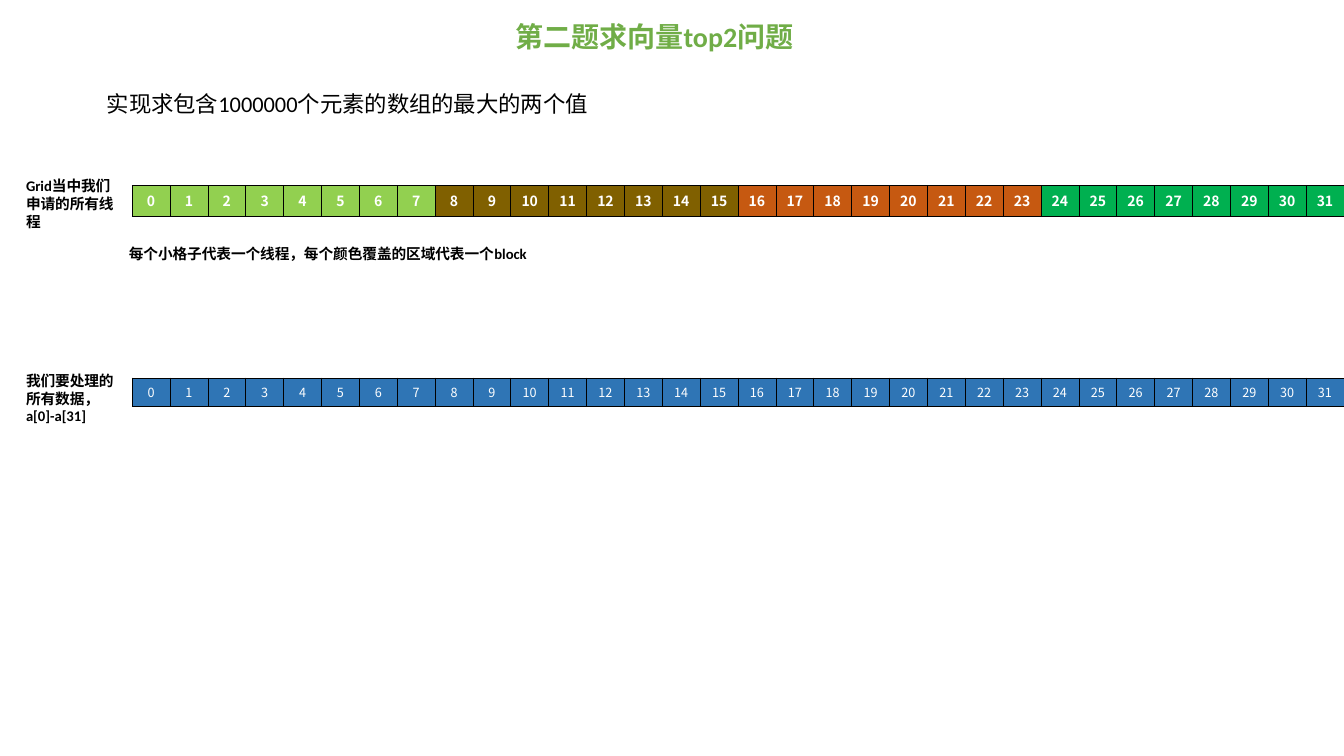
from dataclasses import dataclass

from pptx import Presentation
from pptx.dml.color import RGBColor as RGB
from pptx.enum.text import MSO_ANCHOR as Anchor, MSO_AUTO_SIZE as AutoSize, PP_ALIGN as Align
from pptx.oxml.ns import qn
from pptx.oxml.xmlchemy import OxmlElement as Element
from pptx.util import Inches, Pt


@dataclass(frozen=True)
class Theme:
    font: str = "Calibri"
    cjk: str = "Noto Sans CJK SC"
    ink: str = "000000"
    light: str = "FFFFFF"
    title: str = "70AD47"
    blocks: tuple = ("92D050", "806000", "C65911", "00B050")
    data: str = "2F75B5"
    title_size: float = 20
    intro_size: float = 16
    note_size: float = 10.5
    thread_size: float = 10
    data_size: float = 9
    border: float = 0.5
    plain_table: str = "{2D5ABB26-0587-4C30-8999-92F81FD0307C}"


@dataclass(frozen=True)
class Box:
    """Shares of the slide's width and height, in percent."""
    x: float
    y: float
    w: float
    h: float

    def emu(self):
        return (int(W * self.x / 100), int(H * self.y / 100),
                int(W * self.w / 100), int(H * self.h / 100))


T = Theme()
W, H = Inches(13.33), Inches(7.5)
COUNT = 32
BLOCK = COUNT // len(T.blocks)


def add_run(p, text, size, color=T.ink, bold=False, font=T.font):
    r = p.add_run()
    r.text = text
    r.font.size = Pt(size)
    r.font.bold = bold
    r.font.name = font
    r.font.color.rgb = RGB.from_string(color)
    ea = Element("a:ea")
    ea.set("typeface", T.cjk)
    r._r.get_or_add_rPr().append(ea)


def add_text(s, box, text, size, bold=False):
    tf = s.shapes.add_textbox(*box.emu()).text_frame
    tf.word_wrap = True
    add_run(tf.paragraphs[0], text, size, bold=bold)


def add_title(s, box, text):
    sp = s.shapes.title
    sp.left, sp.top, sp.width, sp.height = box.emu()
    tf = sp.text_frame
    tf.word_wrap = True
    tf.auto_size = AutoSize.NONE
    tf.vertical_anchor = Anchor.TOP
    p = tf.paragraphs[0]
    p.alignment = Align.LEFT
    add_run(p, text, T.title_size, T.title, True)


def add_borders(cell, sides):
    tcPr = cell._tc.get_or_add_tcPr()
    for side in sides:
        ln = Element(f"a:ln{side}")
        ln.set("w", str(Pt(T.border)))
        fill, color = Element("a:solidFill"), Element("a:srgbClr")
        color.set("val", T.ink)
        fill.append(color)
        ln.append(fill)
        tcPr.append(ln)


def add_strip(s, box, label, label_rise, fills, size, bold=False, spare_rows=0):
    label_w = 8.63
    add_text(s, Box(box.x - label_w, box.y - label_rise, label_w, 8.4),
             label, T.note_size, True)

    rows = 1 + spare_rows
    x, y, w, h = box.emu()
    table = s.shapes.add_table(rows, COUNT, x, y, w, h * rows).table
    table.first_row = table.horz_banding = False
    table._tbl.tblPr.find(qn("a:tableStyleId")).text = T.plain_table
    for i, fill in enumerate(fills):
        table.columns[i].width = w // COUNT
        for row in range(rows):
            cell = table.cell(row, i)
            cell.margin_left = cell.margin_right = 0
            cell.margin_top = cell.margin_bottom = 0
            cell.vertical_anchor = Anchor.MIDDLE
            if row:
                add_borders(cell, "T")
                cell.fill.background()
                continue
            add_borders(cell, "LRTB")
            cell.fill.solid()
            cell.fill.fore_color.rgb = RGB.from_string(fill)
            p = cell.text_frame.paragraphs[0]
            p.alignment = Align.CENTER
            add_run(p, str(i), size, T.light, bold, T.cjk)


def add_threads(s, box):
    fills = [T.blocks[i // BLOCK] for i in range(COUNT)]
    add_strip(s, box, "Grid当中我们申请的所有线程", 1.73, fills, T.thread_size, True, 1)
    add_text(s, Box(box.x - 0.98, box.y + 7.2, 38.71, 3.73),
             "每个小格子代表一个线程，每个颜色覆盖的区域代表一个block", T.note_size, True)


def add_data(s, box):
    add_strip(s, box, "我们要处理的所有数据，a[0]-a[31]", 1.47, [T.data] * COUNT, T.data_size)


def main():
    prs = Presentation()
    prs.slide_width, prs.slide_height = W, H
    s = prs.slides.add_slide(prs.slide_layouts[5])
    add_title(s, Box(37.58, 1.87, 26.03, 5.87), "第二题求向量top2问题")
    add_text(s, Box(7.2, 11.33, 39.61, 4.93),
             "实现求包含1000000个元素的数组的最大的两个值", T.intro_size)
    add_threads(s, Box(9.83, 24.53, 90.17, 4.07))
    add_data(s, Box(9.83, 50, 90.17, 3.78))
    prs.save("out.pptx")


if __name__ == "__main__":
    main()
